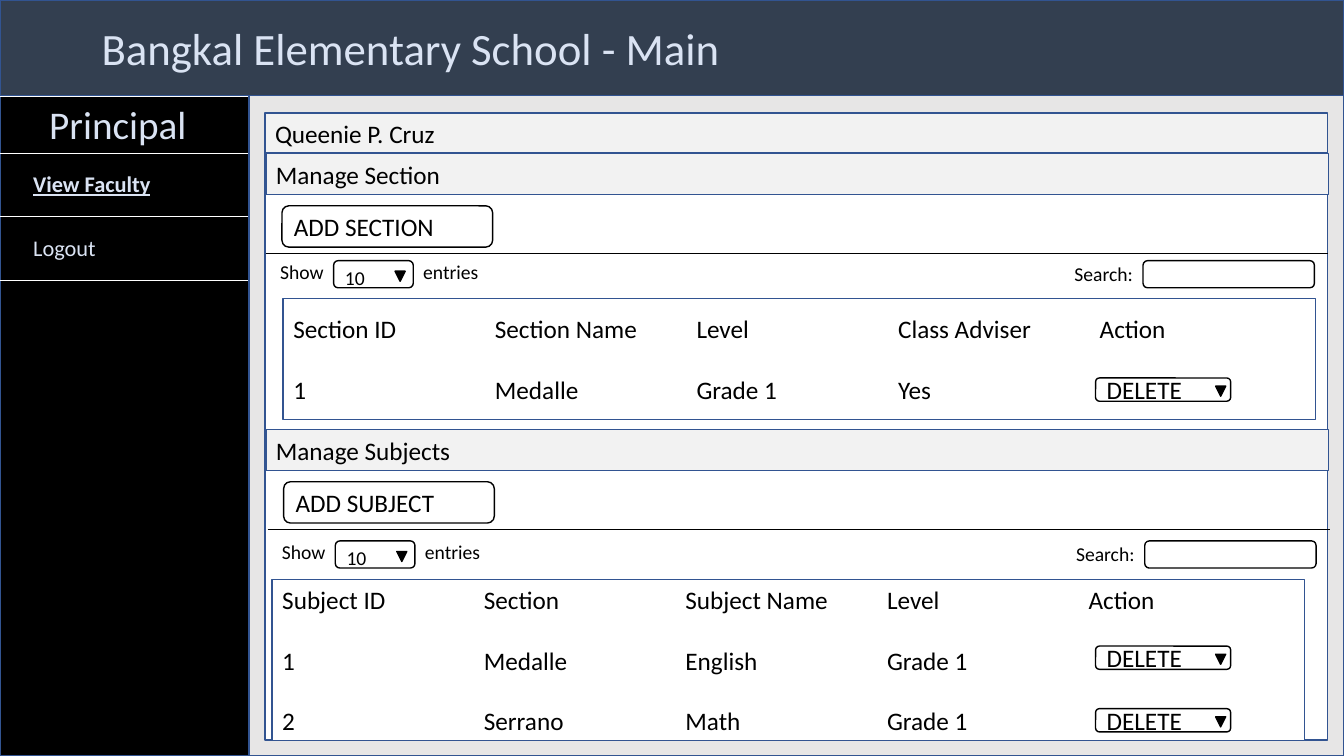
from lxml import etree
from pptx import Presentation
from pptx import util as u
from pptx.dml.color import RGBColor
from pptx.enum import shapes, text
from pptx.oxml import ns

Pt = u.Pt
KIND = shapes.MSO_SHAPE
COLORS = {
    "header": "333F50", "border": "325491", "page": "E7E6E6", "bar": "F2F2F2",
    "pale": "DAE3F3", "black": "000000", "white": "FFFFFF",
}
NO_GRID_STYLE = "{2D5ABB26-0587-4C30-8999-92F81FD0307C}"

prs = Presentation()
prs.slide_width, prs.slide_height = Pt(960), Pt(540)
s = prs.slides.add_slide(prs.slide_layouts[6])


def box(x, y, w, h, fill="white", line="border", kind=KIND.RECTANGLE):
    sp = s.shapes.add_shape(kind, Pt(x), Pt(y), Pt(w), Pt(h))
    sp.shadow.inherit = False
    sp.fill.solid()
    sp.fill.fore_color.rgb = RGBColor.from_string(COLORS[fill])
    sp.line.color.rgb = RGBColor.from_string(COLORS[line])
    sp.line.width = Pt(1)
    return sp


def write(tf, words, size=18, color="black", bold=False, underline=False,
          anchor=text.MSO_ANCHOR.MIDDLE, top=3.6):
    tf.word_wrap = True
    tf.vertical_anchor = anchor
    tf.margin_top = Pt(top)
    p = tf.paragraphs[0]
    p.alignment = text.PP_ALIGN.LEFT
    r = p.add_run()
    r.text = words
    r.font.name = "Calibri"
    r.font.size = Pt(size)
    r.font.bold = bold
    r.font.underline = underline
    r.font.color.rgb = RGBColor.from_string(COLORS[color])


# Page frame
box(0, 0, 960, 540, fill="header")
box(0, 68.4, 193.7, 471.6, fill="black")
box(177.8, 68.4, 782.2, 471.6, fill="page")
write(box(189.4, 80.6, 758.9, 29.5, fill="bar").text_frame, "Queenie P. Cruz")
box(189.4, 109.4, 758.9, 419.1)

pale = {"color": "pale"}
labels = [
    ("Bangkal Elementary School - Main", 65.5, 11.5, 485.3, 46, {"size": 32, **pale}),
    ("Principal", 28.1, 68.4, 144.7, 41, {"size": 28, **pale}),
    ("View Faculty", 16.6, 118.1, 144.7, 26.6,
     {"size": 16, "bold": True, "underline": True, **pale}),
    ("Logout", 16.6, 163.4, 144.7, 26.6, {"size": 16, **pale}),
]
rules = [(0, y, 177.5, "white") for y in (68.9, 109.4, 154.8, 200.2)]
arrows = []

# Sections: title, button, top, shift right, filter top, table left/top/padding, rows, delete tops
sections = [
    ("Manage Section", "ADD SECTION", 109.6, 0, 182.2, 202.3, 213.1, 11.6,
     [["Section ID", "Section Name", "Level", "Class Adviser", "Action"],
      ["1", "Medalle", "Grade 1", "Yes", ""]],
     [43.2, 43.2], [270]),
    ("Manage Subjects", "ADD SUBJECT", 306.7, 1.2, 382.4, 194.4, 414, 4.3,
     [["Subject ID", "Section", "Subject Name", "Level", "Action"],
      ["1", "Medalle", "English", "Grade 1", ""],
      ["2", "Serrano", "Math", "Grade 1", ""]],
     [43.2, 43.2, 28.8], [461.5, 506.2]),
]

for (title, button, top, shift, filter_top, left, table_top, padding,
     rows, heights, delete_tops) in sections:
    write(box(190, top, 758.9, 29.5, fill="bar").text_frame, title)
    add = box(201.4 + shift, top + 37.4, 150.5, 29.5, line="black",
              kind=KIND.ROUNDED_RECTANGLE)
    write(add.text_frame, button)
    rules.append((190 + shift, top + 71.2, 758.9, "black"))

    # Entry count and search field
    for words, x, dy in (("Show", 193, 0), ("entries", 295.2, 0), ("Search:", 760.3, 1.4)):
        labels.append((words, x + shift, filter_top + dy, 56.9, 24.5, {"size": 14}))
    count = box(238.3 + shift, filter_top + 4, 56.9, 19.4, line="black",
                kind=KIND.ROUNDED_RECTANGLE)
    write(count.text_frame, "10", size=14, top=8)
    arrows.append((282.2 + shift, filter_top + 11.5))
    box(816.5 + shift, filter_top + 4, 122.4, 19.4, line="black",
        kind=KIND.ROUNDED_RECTANGLE)

    # Framed table
    frame = (left, table_top, 737.3, sum(heights))
    box(*frame)
    table = s.shapes.add_table(len(rows), 5, *map(Pt, frame)).table
    table.first_row = table.horz_banding = False
    table._tbl.tblPr.find(ns.qn("a:tableStyleId")).text = NO_GRID_STYLE
    for column, width in zip(table.columns, [144] * 4 + [161.3]):
        column.width = Pt(width)
    for i, (row, height) in enumerate(zip(rows, heights)):
        table.rows[i].height = Pt(height)
        for j, words in enumerate(row):
            cell = table.cell(i, j)
            cell.fill.background()
            cell.margin_top, cell.margin_bottom = Pt(padding), 0
            if words:
                write(cell.text_frame, words)
            cell.vertical_anchor = text.MSO_ANCHOR.TOP
            cell.margin_top = Pt(padding)

    for y in delete_tops:
        delete = box(782.6, y, 96.5, 16.6, line="black", kind=KIND.ROUNDED_RECTANGLE)
        write(delete.text_frame, "DELETE")
        arrows.append((868.3, y + 5.8))

for words, x, y, w, h, style in labels:
    tf = s.shapes.add_textbox(Pt(x), Pt(y), Pt(w), Pt(h)).text_frame
    write(tf, words, anchor=text.MSO_ANCHOR.TOP, **style)

for x, y in arrows:
    box(x, y, 7.2, 7.2, fill="black", line="black",
        kind=KIND.ISOSCELES_TRIANGLE).rotation = 180

for x, y, length, color in rules:
    rule = s.shapes.add_connector(shapes.MSO_CONNECTOR.STRAIGHT,
                                  Pt(x), Pt(y), Pt(x + length), Pt(y))
    rule.line.color.rgb = RGBColor.from_string(COLORS[color])
    rule.line.width = Pt(0.5)
    etree.SubElement(rule._element.spPr, ns.qn("a:effectLst"))

prs.save("out.pptx")
